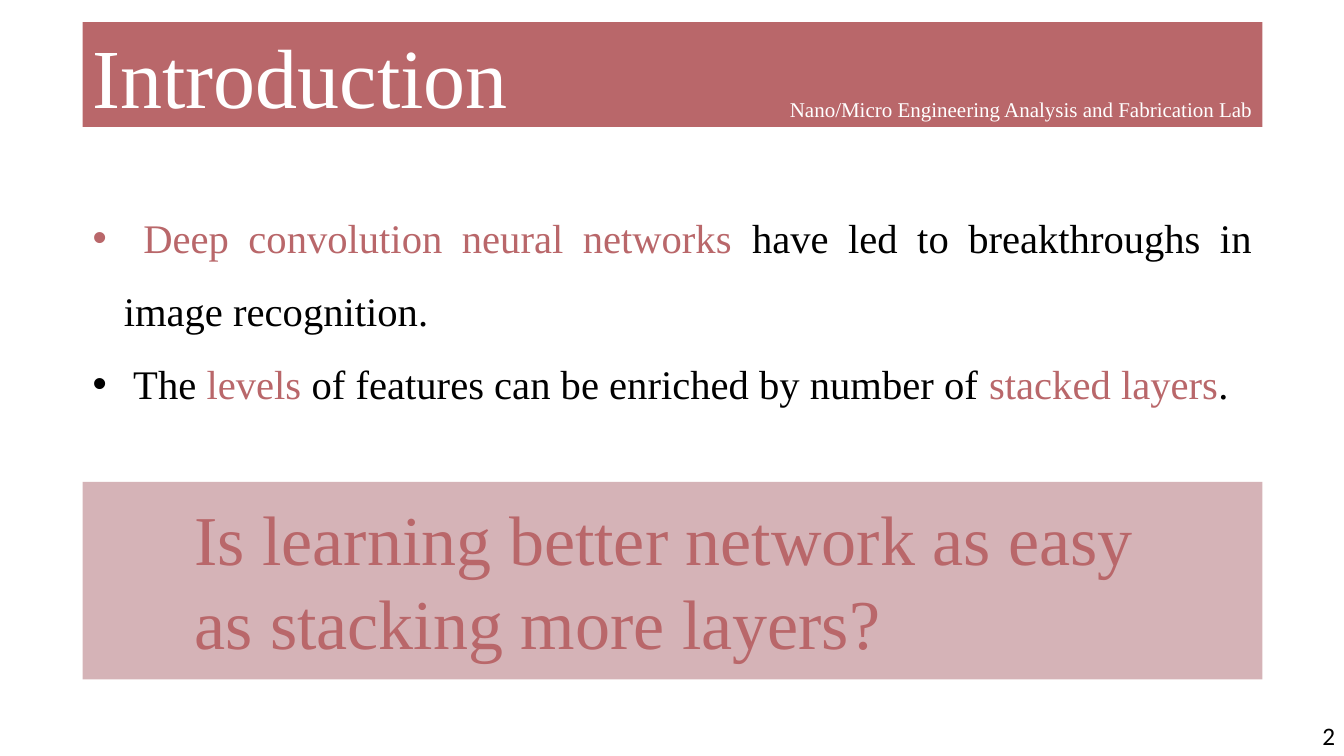
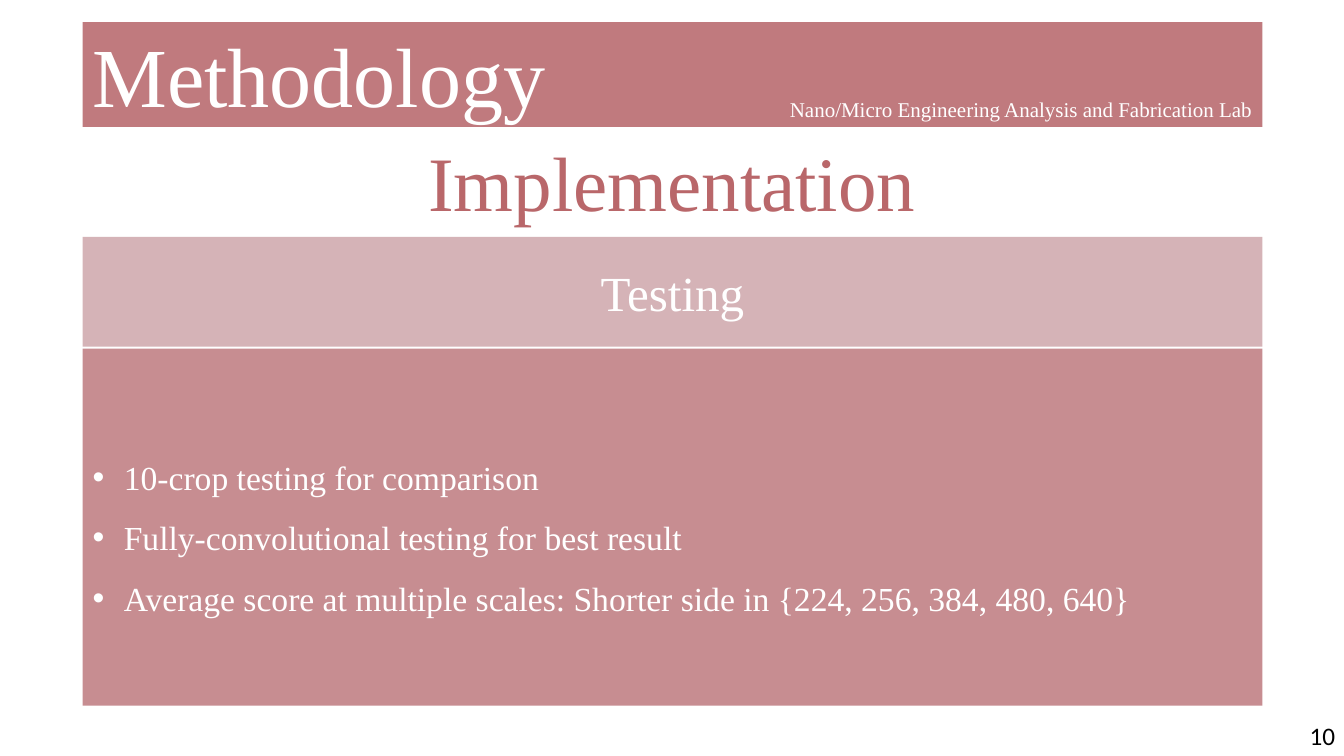
from lxml.etree import SubElement
from pptx import Presentation
from pptx.dml.color import RGBColor
from pptx.enum.shapes import MSO_SHAPE
from pptx.enum.text import MSO_ANCHOR, MSO_AUTO_SIZE, PP_ALIGN
from pptx.oxml.ns import qn
from pptx.util import Emu, Pt

PX = 9144
SLIDE_SIZE = (1333, 750)
LEFT, WIDTH = 82, 1170
BULLET_INDENT = 31
SERIF = "Times New Roman"
COLORS = {
    "rose": "B9676A",
    "soft_rose": "C07A7E",
    "body_rose": "C78D91",
    "pale_rose": "D5B3B7",
    "white": "FFFFFF",
    "black": "000000",
}
LAB_NAME = "Nano/Micro Engineering Analysis and Fabrication Lab"

INTRODUCTION = {
    "title": "Introduction",
    "title_box": (LEFT, 19, 463, 111),
    "band": "rose",
    "number": "2",
}
INTRODUCTION_POINTS = [
    [
        (" Deep convolution neural networks ", "rose"),
        ("have led to breakthroughs in image recognition.", "black"),
    ],
    [
        (" The ", "black"),
        ("levels", "rose"),
        (" of features can be enriched by number of ", "black"),
        ("stacked layers", "rose"),
        (".", "black"),
    ],
]
QUESTION = "Is learning better network as easy as stacking more layers?"

METHODOLOGY = {
    "title": "Methodology",
    "title_box": (LEFT, 18, 832, 111),
    "band": "soft_rose",
    "number": "10",
}
SUBTITLE = "Implementation"
PHASE = "Testing"
TESTING_POINTS = [
    "10-crop testing for comparison",
    "Fully-convolutional testing for best result",
    "Average score at multiple scales: Shorter side in {224, 256, 384, 480, 640}",
]


def emu(box):
    return [Emu(value * PX) for value in box]


def rgb(name):
    return RGBColor.from_string(COLORS[name])


def add_panel(slide, box, color):
    shape = slide.shapes.add_shape(MSO_SHAPE.RECTANGLE, *emu(box))
    shape.shadow.inherit = False
    shape.fill.solid()
    shape.fill.fore_color.rgb = rgb(color)
    shape.line.fill.background()
    shape.text_frame.vertical_anchor = MSO_ANCHOR.MIDDLE
    return shape


def add_bullet(paragraph):
    properties = paragraph._p.get_or_add_pPr()
    properties.set("marL", str(BULLET_INDENT * PX))
    properties.set("indent", str(-BULLET_INDENT * PX))
    SubElement(properties, qn("a:buFont")).set("typeface", "Arial")
    SubElement(properties, qn("a:buChar")).set("char", "•")


def write(shape, paragraphs, size, align=PP_ALIGN.LEFT, font=SERIF, bullets=False):
    frame = shape.text_frame
    frame.word_wrap = True
    frame.text = "\n".join("" for _ in paragraphs)
    for paragraph, runs in zip(frame.paragraphs, paragraphs):
        paragraph.alignment = align
        if bullets:
            paragraph.line_spacing = 1.5
            add_bullet(paragraph)
        for text, color in runs:
            run = paragraph.add_run()
            run.text = text
            run.font.size = Pt(size)
            run.font.name = font
            run.font.color.rgb = rgb(color)


def add_text(slide, box, paragraphs, size, **style):
    shape = slide.shapes.add_textbox(*emu(box))
    write(shape, paragraphs, size, **style)
    shape.text_frame.auto_size = MSO_AUTO_SIZE.SHAPE_TO_FIT_TEXT


def add_framed_slide(presentation, content):
    slide = presentation.slides.add_slide(presentation.slide_layouts[6])
    add_panel(slide, (LEFT, 22, WIDTH, 104), content["band"])
    add_text(slide, content["title_box"], [[(content["title"], "white")]], 60)
    add_text(slide, (538, 91, 714, 35), [[(LAB_NAME, "white")]], 15,
             align=PP_ALIGN.RIGHT)
    add_text(slide, (1267, 710, 67, 40), [[(content["number"], "black")]], 18,
             align=PP_ALIGN.RIGHT, font="Calibri")
    return slide


def build_introduction(presentation):
    slide = add_framed_slide(presentation, INTRODUCTION)
    add_text(slide, (LEFT, 182, WIDTH, 223), INTRODUCTION_POINTS, 29,
             align=PP_ALIGN.JUSTIFY, bullets=True)
    add_panel(slide, (LEFT, 478, WIDTH, 196), "pale_rose")
    add_text(slide, (183, 487, 968, 178), [[(QUESTION, "rose")]], 50)


def build_methodology(presentation):
    slide = add_framed_slide(presentation, METHODOLOGY)
    add_text(slide, (353, 129, 627, 103), [[(SUBTITLE, "rose")]], 55,
             align=PP_ALIGN.CENTER)
    phase = add_panel(slide, (LEFT, 235, WIDTH, 109), "pale_rose")
    write(phase, [[(PHASE, "white")]], 35, align=PP_ALIGN.CENTER)
    body = add_panel(slide, (LEFT, 346, WIDTH, 354), "body_rose")
    write(body, [[(point, "white")] for point in TESTING_POINTS], 24,
          align=PP_ALIGN.JUSTIFY, bullets=True)


def main():
    presentation = Presentation()
    presentation.slide_width, presentation.slide_height = emu(SLIDE_SIZE)
    build_introduction(presentation)
    build_methodology(presentation)
    presentation.save("out.pptx")


if __name__ == "__main__":
    main()
